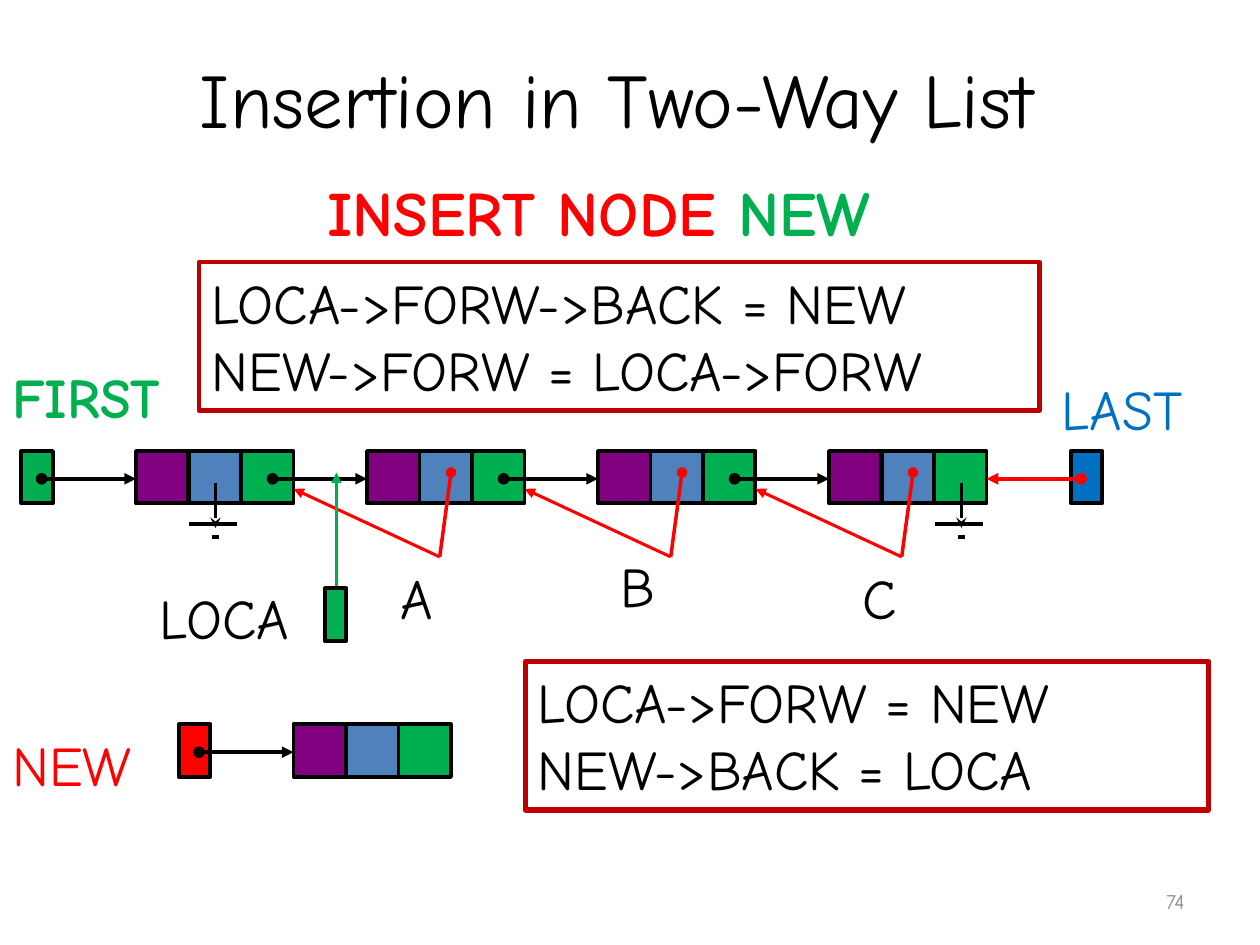
from lxml import etree
from pptx import Presentation
from pptx.dml import color
from pptx.enum import shapes, text
from pptx.oxml import ns
from pptx.util import Inches, Pt

BLACK, RED, GREEN, BLUE = "000000", "FF0000", "00B050", "0070C0"
PURPLE, STEEL, DARK_RED, GRAY = "800080", "4F81BD", "C00000", "8C8C8C"
CELL = 5 / 12
PITCH = 11 / 6
POINTER = 0.25
FIRST_NODE = 1.08
LIST_TOP = 3.58
NEW_TOP = 5.75
ARROW_DROP = 0.22


def rgb(value):
    return color.RGBColor.from_string(value)


class SlideBuilder:
    font = "Comic Neue"

    def __init__(self, slide):
        self.slide = slide

    def add_text(self, frame, paragraphs, size, bold=False, align=text.PP_ALIGN.LEFT,
                 anchor=text.MSO_ANCHOR.TOP):
        frame.word_wrap = True
        frame.vertical_anchor = anchor
        for index, runs in enumerate(paragraphs):
            paragraph = frame.paragraphs[0] if index == 0 else frame.add_paragraph()
            paragraph.alignment = align
            for words, ink in runs:
                run = paragraph.add_run()
                run.text = words
                run.font.name = self.font
                run.font.size = Pt(size)
                run.font.bold = bold
                run.font.color.rgb = rgb(ink)

    def title(self, words, left, top, width, height):
        shape = self.slide.shapes.title
        shape.left, shape.top = Inches(left), Inches(top)
        shape.width, shape.height = Inches(width), Inches(height)
        self.add_text(shape.text_frame, [[(words, BLACK)]], 44,
                      align=text.PP_ALIGN.CENTER, anchor=text.MSO_ANCHOR.MIDDLE)

    def label(self, runs, left, top, width, height=0.64, size=32, **style):
        shape = self.slide.shapes.add_textbox(
            Inches(left), Inches(top), Inches(width), Inches(height))
        self.add_text(shape.text_frame, [runs], size, **style)

    def rectangle(self, left, top, width, height=CELL, fill=None, line=BLACK, weight=2.25):
        shape = self.slide.shapes.add_shape(
            shapes.MSO_SHAPE.RECTANGLE,
            Inches(left), Inches(top), Inches(width), Inches(height))
        shape.shadow.inherit = False
        if fill:
            shape.fill.solid()
            shape.fill.fore_color.rgb = rgb(fill)
        else:
            shape.fill.background()
        shape.line.color.rgb = rgb(line)
        shape.line.width = Pt(weight)
        return shape

    def code_box(self, lines, left, top, width, weight):
        shape = self.rectangle(left, top, width, 1.18, line=DARK_RED, weight=weight)
        self.add_text(shape.text_frame, [[(line, BLACK)] for line in lines], 32)

    def line(self, start, end, ink=BLACK, weight=2, head=None, tail=None):
        connector = self.slide.shapes.add_connector(
            shapes.MSO_CONNECTOR.STRAIGHT, *map(Inches, start + end))
        connector.line.color.rgb = rgb(ink)
        connector.line.width = Pt(weight)
        properties = connector._element.spPr
        outline = properties.find(ns.qn("a:ln"))
        for tag, kind in (("a:headEnd", head), ("a:tailEnd", tail)):
            if kind:
                etree.SubElement(outline, ns.qn(tag)).set("type", kind)
        etree.SubElement(properties, ns.qn("a:effectLst"))

    def node(self, left, top):
        for column, fill in enumerate((PURPLE, STEEL, GREEN)):
            self.rectangle(left + column * CELL, top, CELL, fill=fill)

    def forward_arrow(self, left, top, length=0.75, ink=BLACK):
        y = top + ARROW_DROP
        self.line((left, y), (left + length, y), ink, 2.25, "oval", "triangle")

    def back_arrow(self, left):
        corner = (left + 1.16, 4.42)
        self.line((left, 3.88), corner, RED, 1.75, head="triangle")
        self.line(corner, (left + 1.25, 3.75), RED, tail="oval")

    def ground(self, center):
        self.line((center, 3.83), (center, 4.19), tail="stealth")
        self.line((center - 0.21, 4.16), (center + 0.17, 4.16))
        self.line((center - 0.03, 4.26), (center + 0.03, 4.26))


presentation = Presentation()
presentation.slide_width, presentation.slide_height = Inches(10), Inches(7.5)
builder = SlideBuilder(presentation.slides.add_slide(presentation.slide_layouts[5]))

builder.title("Insertion in Two-Way List ", 0.5, 0.3, 9, 0.95)
builder.label([("74", GRAY)], 7.17, 6.95, 2.33, 0.4, 12,
              align=text.PP_ALIGN.RIGHT, anchor=text.MSO_ANCHOR.MIDDLE)

nodes = [FIRST_NODE + index * PITCH for index in range(4)]
for left in nodes:
    builder.node(left, LIST_TOP)
builder.rectangle(0.17, LIST_TOP, POINTER, fill=GREEN)
builder.rectangle(8.5, LIST_TOP, POINTER, fill=BLUE)
for left in nodes:
    builder.forward_arrow(left - 0.75, LIST_TOP)
builder.forward_arrow(8.58, LIST_TOP, -0.75, RED)
for left in nodes[:-1]:
    builder.back_arrow(left + 3 * CELL)
for center in (1.71, 7.63):
    builder.ground(center)

builder.line((2.67, 4.67), (2.67, 3.75), GREEN, tail="triangle")
builder.rectangle(2.58, 4.67, 0.17, fill=GREEN)

builder.rectangle(1.42, NEW_TOP, POINTER, fill=RED)
builder.node(2.33, NEW_TOP)
builder.forward_arrow(1.58, NEW_TOP)

builder.label([("FIRST ", GREEN)], 0, 2.83, 2, bold=True)
for words, ink, left, top, width in (
    ("LAST", BLUE, 8.33, 2.92, 1.67),
    ("A", BLACK, 3.08, 4.42, 0.83),
    ("B", BLACK, 4.83, 4.33, 0.83),
    ("C", BLACK, 6.75, 4.42, 0.67),
    ("LOCA", BLACK, 1.17, 4.58, 1.58),
    ("NEW", RED, 0, NEW_TOP, 1.33),
):
    builder.label([(words, ink)], left, top, width)
builder.label([("INSERT NODE ", RED), ("NEW ", GREEN)], 2.5, 1.33, 5.42, 0.71, 36, bold=True)

builder.code_box(("LOCA->FORW->BACK = NEW", "NEW->FORW = LOCA->FORW"), 1.58, 2.08, 6.67, 2.75)
builder.code_box(("LOCA->FORW = NEW ", "NEW->BACK = LOCA "), 4.17, 5.25, 5.42, 3)

presentation.save("out.pptx")
